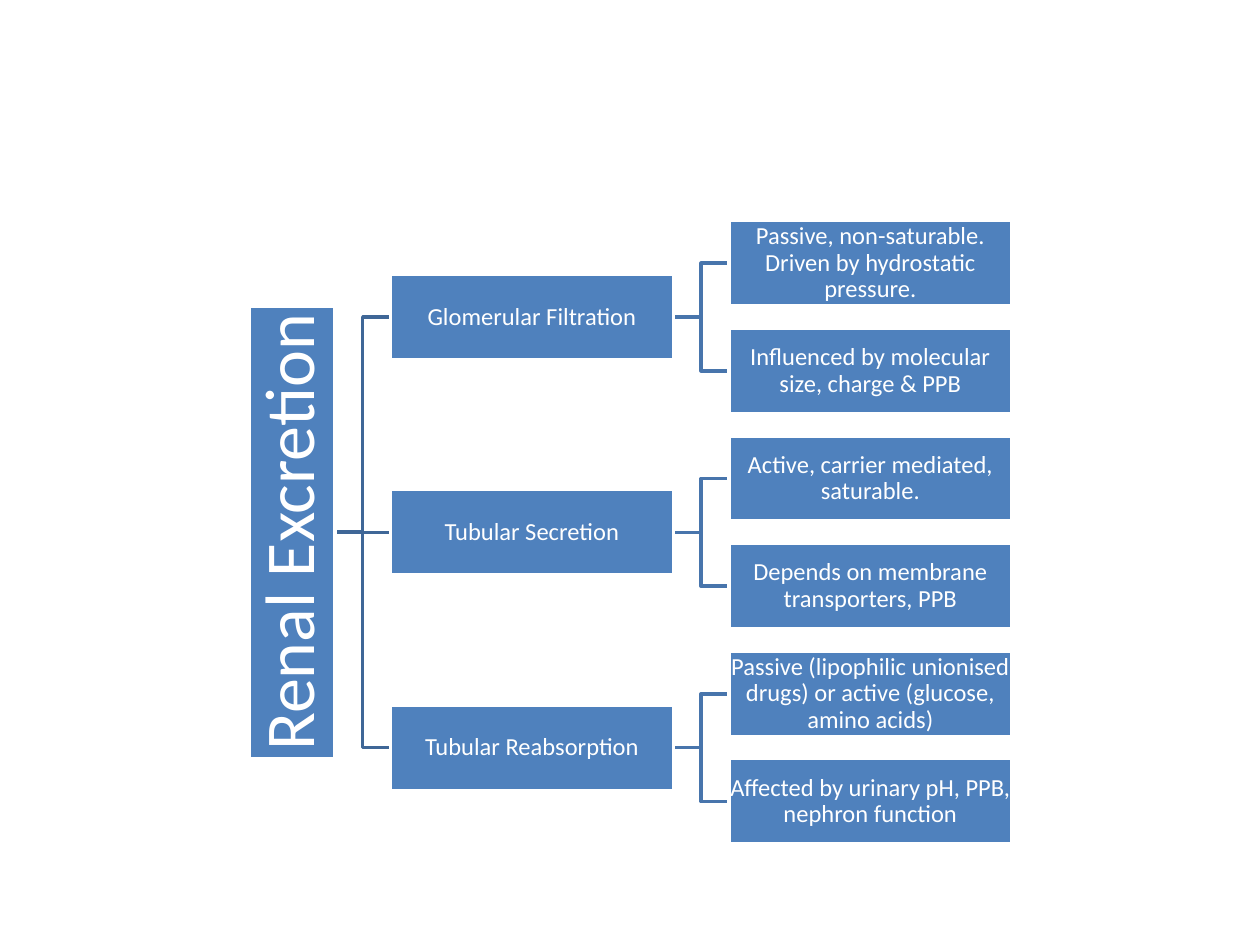
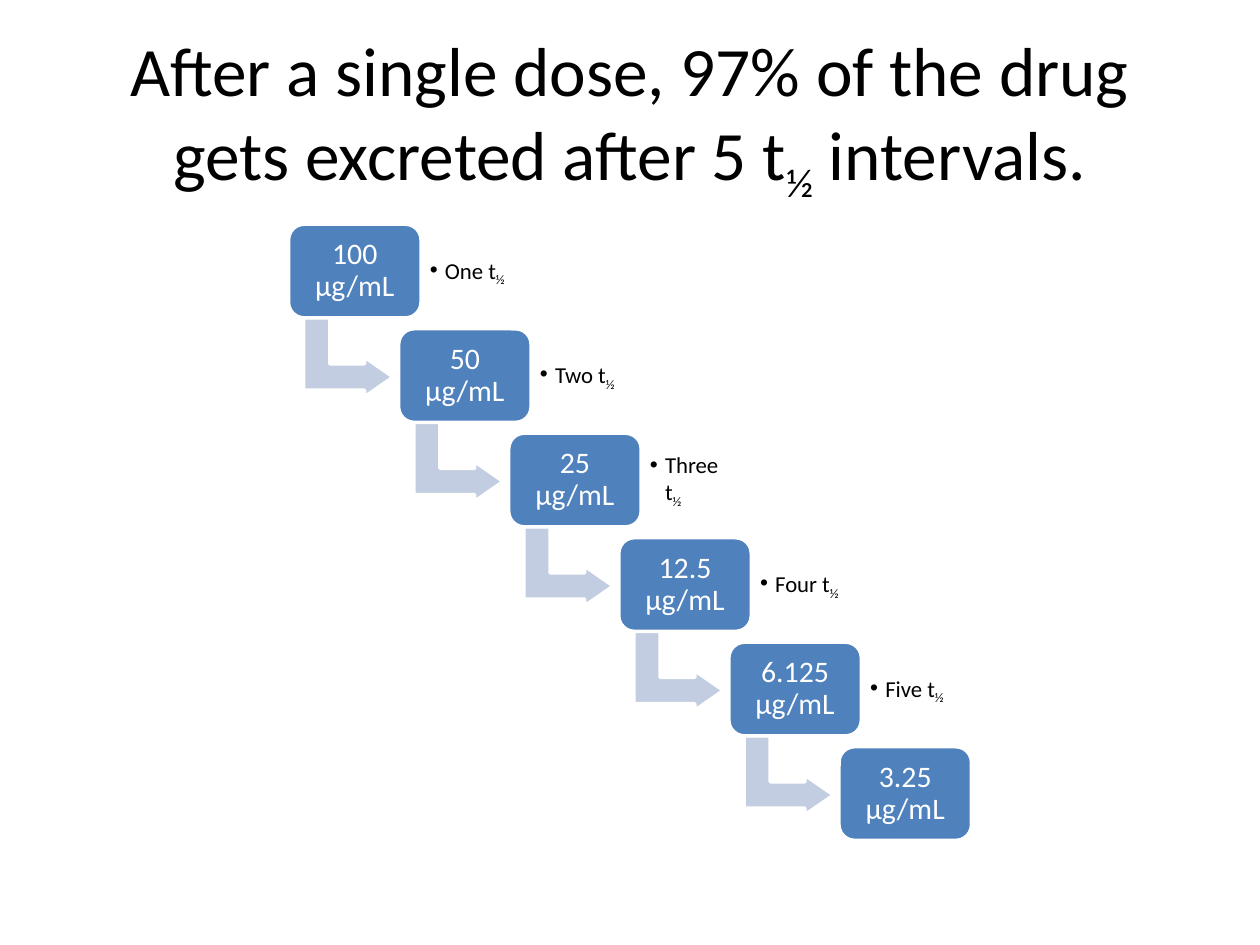
from pptx import Presentation
from pptx.dml.color import RGBColor
from pptx.enum.shapes import MSO_CONNECTOR, MSO_SHAPE
from pptx.enum.text import MSO_ANCHOR, PP_ALIGN
from pptx.oxml.ns import qn
from pptx.util import Inches, Pt
from lxml import etree

BLUE = RGBColor(0x4F, 0x81, 0xBD)
PALE_BLUE = RGBColor(0xC2, 0xCD, 0xE1)
ROOT_LINE = RGBColor(0x3F, 0x67, 0x97)
LEAF_LINE = RGBColor(0x48, 0x75, 0xAC)
WHITE = RGBColor(0xFF, 0xFF, 0xFF)
BLACK = RGBColor(0, 0, 0)
FONT = "Calibri"
SLIDE_W, SLIDE_H = 10, 7.5
HALF = ("½", True)  # subscript run

BRANCHES = [
    ("Glomerular Filtration",
     ["Passive, non-saturable. Driven by hydrostatic pressure.",
      "Influenced by molecular size, charge & PPB"]),
    ("Tubular Secretion",
     ["Active, carrier mediated, saturable.",
      "Depends on membrane transporters, PPB"]),
    ("Tubular Reabsorption",
     ["Passive (lipophilic unionised drugs) or active (glucose, amino acids)",
      "Affected by urinary pH, PPB, nephron function"]),
]
CONCENTRATIONS = ["100", "50", "25", "12.5", "6.125", "3.25"]
INTERVALS = ["One", "Two", "Three", "Four", "Five"]


def write(sp, runs, size, color=WHITE, align=PP_ALIGN.CENTER, inset=0.01,
          spacing=0.9, bullet_indent=None):
    """Fill a shape with one paragraph of (text, is_subscript) runs."""
    tf = sp.text_frame
    tf.word_wrap = True
    tf.vertical_anchor = MSO_ANCHOR.MIDDLE
    tf.margin_left = tf.margin_right = Inches(inset)
    tf.margin_top = tf.margin_bottom = Inches(inset)
    p = tf.paragraphs[0]
    p.alignment = align
    p.line_spacing = spacing
    for text, subscript in runs:
        r = p.add_run()
        r.text = text
        r.font.name, r.font.size = FONT, Pt(size)
        r.font.color.rgb = color
        if subscript:
            r._r.get_or_add_rPr().set("baseline", "-25000")
    if bullet_indent:
        pPr = p._p.get_or_add_pPr()
        pPr.set("marL", str(Inches(bullet_indent)))
        pPr.set("indent", str(-Inches(bullet_indent)))
        etree.SubElement(pPr, qn("a:buFont")).set("typeface", "Arial")
        etree.SubElement(pPr, qn("a:buChar")).set("char", "•")


def add_block(s, kind, x, y, w, h, fill=BLUE):
    sp = s.shapes.add_shape(kind, Inches(x), Inches(y), Inches(w), Inches(h))
    sp.shadow.inherit = False
    sp.fill.solid()
    sp.fill.fore_color.rgb = fill
    sp.line.color.rgb = WHITE
    sp.line.width = Pt(2)
    return sp


def add_label(s, x, y, w, h, runs, **fmt):
    box = s.shapes.add_textbox(Inches(x), Inches(y), Inches(w), Inches(h))
    write(box, runs, **fmt)


def add_node(s, x, mid, w, h, text, size=14, inset=0.01):
    sp = add_block(s, MSO_SHAPE.RECTANGLE, x, mid - h / 2, w, h)
    write(sp, [(text, False)], size, inset=inset)
    return sp


def join(s, parent, child, color):
    """Link the right side of parent to the left side of child, behind both."""
    y1 = parent.top + parent.height // 2
    y2 = child.top + child.height // 2
    level = abs(y1 - y2) < Pt(0.1)
    kind = MSO_CONNECTOR.STRAIGHT if level else MSO_CONNECTOR.ELBOW
    cn = s.shapes.add_connector(kind, parent.left + parent.width, y1, child.left, y2)
    cn.begin_connect(parent, 3)
    cn.end_connect(child, 1)
    cn.line.color.rgb = color
    cn.line.width = Pt(2)
    etree.SubElement(cn._element.spPr, qn("a:effectLst"))
    s.shapes.element.insert(2, cn._element)


def draw_tree(s, x, y, w, h):
    """Root, one column of branches and one column of leaves."""
    node_w, node_h = w * 0.371, h * 0.137
    gap = (w - node_h - 2 * node_w) / 2
    branch_x = x + node_h + gap
    leaf_x = branch_x + node_w + gap
    pitch = (h - node_h) / (2 * len(BRANCHES) - 1)

    def row_mid(row):
        return y + node_h / 2 + row * pitch

    # Root with upward text
    root = add_node(s, x, y + h / 2, node_h, h * 0.725, "Renal Excretion",
                    size=40, inset=0.03)
    root.text_frame._txBody.bodyPr.set("vert", "vert270")

    # Branches and their leaves
    for i, (name, leaves) in enumerate(BRANCHES):
        branch = add_node(s, branch_x, row_mid(2 * i + 0.5), node_w, node_h, name)
        join(s, root, branch, ROOT_LINE)
        for j, text in enumerate(leaves):
            leaf = add_node(s, leaf_x, row_mid(2 * i + j), node_w, node_h, text)
            join(s, branch, leaf, LEAF_LINE)


def draw_cascade(s, x, y, w, h):
    """Descending steps, each with an interval label and an arrow onward."""
    step_w, step_h = w * 0.194, h * 0.152
    last = len(CONCENTRATIONS) - 1
    dx, dy = (w - step_w) / last, (h - step_h) / last
    for i, amount in enumerate(CONCENTRATIONS):
        left, top = x + i * dx, y + i * dy
        # Bent arrow to the next step
        if i < last:
            arrow = add_block(s, MSO_SHAPE.BENT_UP_ARROW, left + 0.16, top + 0.7,
                              0.63, 0.71, PALE_BLUE)
            arrow.rotation = 90
            for k, value in enumerate((0.33, 0.25, 0.36)):
                arrow.adjustments[k] = value
        # Concentration
        step = add_block(s, MSO_SHAPE.ROUNDED_RECTANGLE, left, top, step_w, step_h)
        write(step, [(f"{amount} μg/mL", False)], 17, inset=0.07)
        # Elapsed half-lives
        if i < last:
            add_label(s, left + step_w, top + 0.07, 0.77, 0.6,
                      [(f"{INTERVALS[i]} t", False), HALF], size=13, color=BLACK,
                      align=PP_ALIGN.LEFT, inset=0.07, bullet_indent=0.12)


def draw_title(s, runs):
    add_label(s, SLIDE_W * 0.05, SLIDE_H * 0.04, SLIDE_W * 0.9, SLIDE_H / 6,
              runs, size=39.6, color=BLACK, inset=0.08, spacing=1.0)


def main():
    prs = Presentation()
    prs.slide_width, prs.slide_height = Inches(SLIDE_W), Inches(SLIDE_H)
    blank = prs.slide_layouts[6]

    # Renal excretion processes
    draw_tree(prs.slides.add_slide(blank), 1.98, 1.75, 6.05, 4.95)

    # Elimination by half-life
    s = prs.slides.add_slide(blank)
    draw_title(s, [("After a single dose, 97% of the drug gets excreted after 5 t", False),
                   HALF, (" intervals.", False)])
    draw_cascade(s, 2.29, 1.78, 5.42, 4.89)

    prs.save("out.pptx")


if __name__ == "__main__":
    main()
